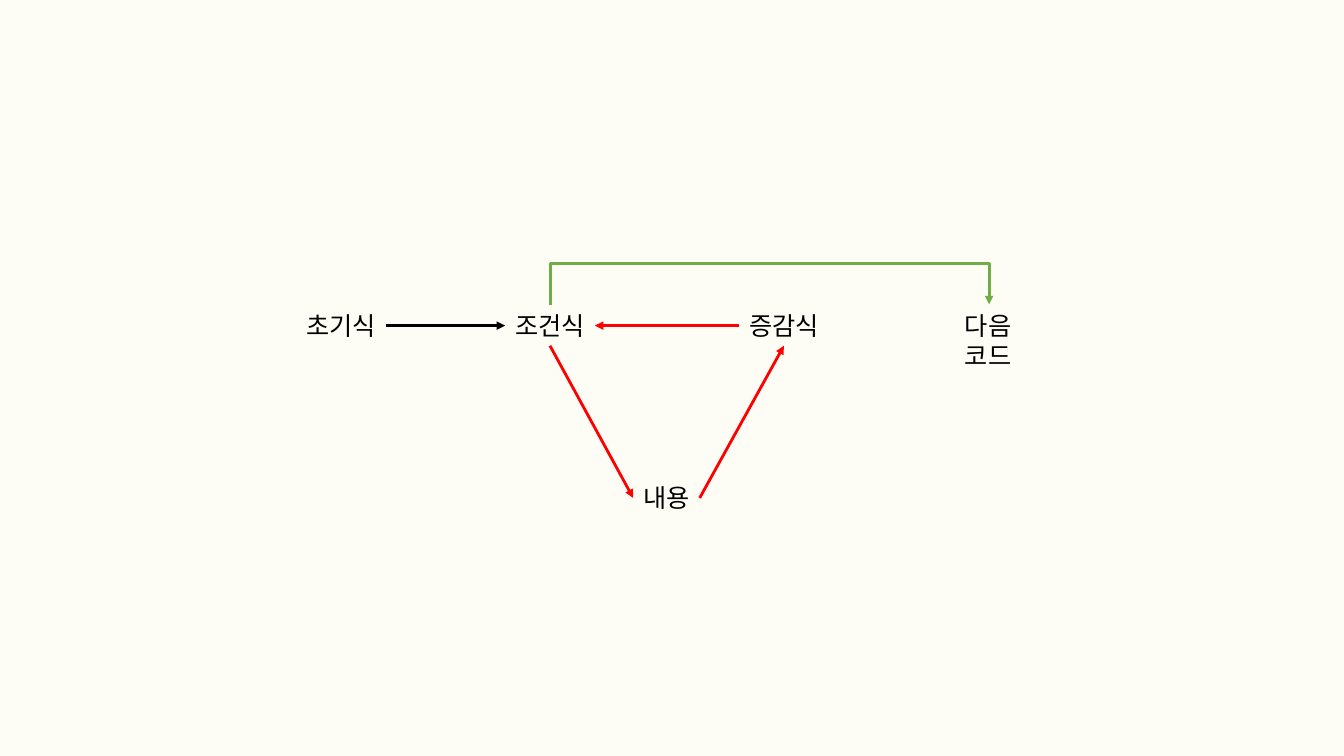
"""Build a slide showing the order in which a for loop runs its parts."""
from lxml import etree
from pptx import Presentation
from pptx.dml.color import RGBColor
from pptx.enum import shapes, text
from pptx.oxml.ns import qn
from pptx.util import Inches, Pt

FONT = "Noto Sans CJK KR"
BACKGROUND, BLACK, RED, GREEN = "FDFCF5", "000000", "FF0000", "70AD47"
LABEL_HEIGHT = 0.4
LABELS = [
    ("초기식", 2.94, 3.03, 0.89, False),
    ("내용", 6.28, 4.74, 0.66, False),
    ("조건식", 5.01, 3.03, 0.89, False),
    ("증감식", 7.33, 3.03, 0.89, False),
    ("다음 코드", 9.25, 3.03, 1.1, True),
]
ARROWS = [
    ("초기식", "right", "조건식", "left", BLACK),
    ("조건식", "bottom", "내용", "left", RED),
    ("내용", "right", "증감식", "bottom", RED),
    ("증감식", "left", "조건식", "right", RED),
]
SIDES = {"left": (0, 0.5), "right": (1, 0.5), "bottom": (0.5, 1)}
EXIT_START, EXIT_END, EXIT_TOP = (5.46, 3.03), (9.81, 3.02), 2.61


def color(value):
    return RGBColor.from_string(value)


def add_label(page, words, left, top, width, wrap):
    box = page.shapes.add_textbox(*map(Inches, (left, top, width, LABEL_HEIGHT)))
    box.text_frame.word_wrap = wrap
    box.text_frame.auto_size = text.MSO_AUTO_SIZE.SHAPE_TO_FIT_TEXT
    para = box.text_frame.paragraphs[0]
    para.text = words
    para.alignment = text.PP_ALIGN.CENTER
    para.font.size = Pt(18)
    para.font.color.rgb = color(BLACK)
    para.font.name = FONT
    etree.SubElement(para.font._element, qn("a:ea"), typeface=FONT)


def add_arrow(page, kind, start, end, line_color):
    arrow = page.shapes.add_connector(kind, *map(Inches, (*start, *end)))
    arrow.line.color.rgb = color(line_color)
    arrow.line.width = Pt(2)
    etree.SubElement(arrow.line._get_or_add_ln(), qn("a:tailEnd"), type="triangle")
    etree.SubElement(arrow._element.spPr, qn("a:effectLst"))
    return arrow


def add_exit_arrow(page):
    (x1, y1), (x2, y2) = EXIT_START, EXIT_END
    middle_x, middle_y = (x1 + x2) / 2, (y1 + y2) / 2
    span, drop = x2 - x1, y1 - y2
    start = (middle_x + drop / 2, middle_y + span / 2)
    end = (middle_x - drop / 2, middle_y - span / 2)
    arrow = add_arrow(page, shapes.MSO_CONNECTOR.ELBOW, start, end, GREEN)
    properties = arrow._element.spPr
    properties.find(qn("a:xfrm")).set("rot", str(90 * 60000))
    bend = round((y1 - EXIT_TOP) / drop * 100000)
    guides = properties.find(qn("a:prstGeom")).find(qn("a:avLst"))
    etree.SubElement(guides, qn("a:gd"), name="adj1", fmla=f"val {bend}")


def main():
    deck = Presentation()
    deck.slide_width, deck.slide_height = Inches(13.33), Inches(7.5)
    page = deck.slides.add_slide(deck.slide_layouts[6])
    page.background.fill.solid()
    page.background.fill.fore_color.rgb = color(BACKGROUND)

    places = {}
    for words, left, top, width, wrap in LABELS:
        add_label(page, words, left, top, width, wrap)
        places[words] = {
            side: (left + across * width, top + down * LABEL_HEIGHT)
            for side, (across, down) in SIDES.items()
        }
    for source, leave, target, arrive, line_color in ARROWS:
        add_arrow(page, shapes.MSO_CONNECTOR.STRAIGHT,
                  places[source][leave], places[target][arrive], line_color)
    add_exit_arrow(page)
    deck.save("out.pptx")


if __name__ == "__main__":
    main()
